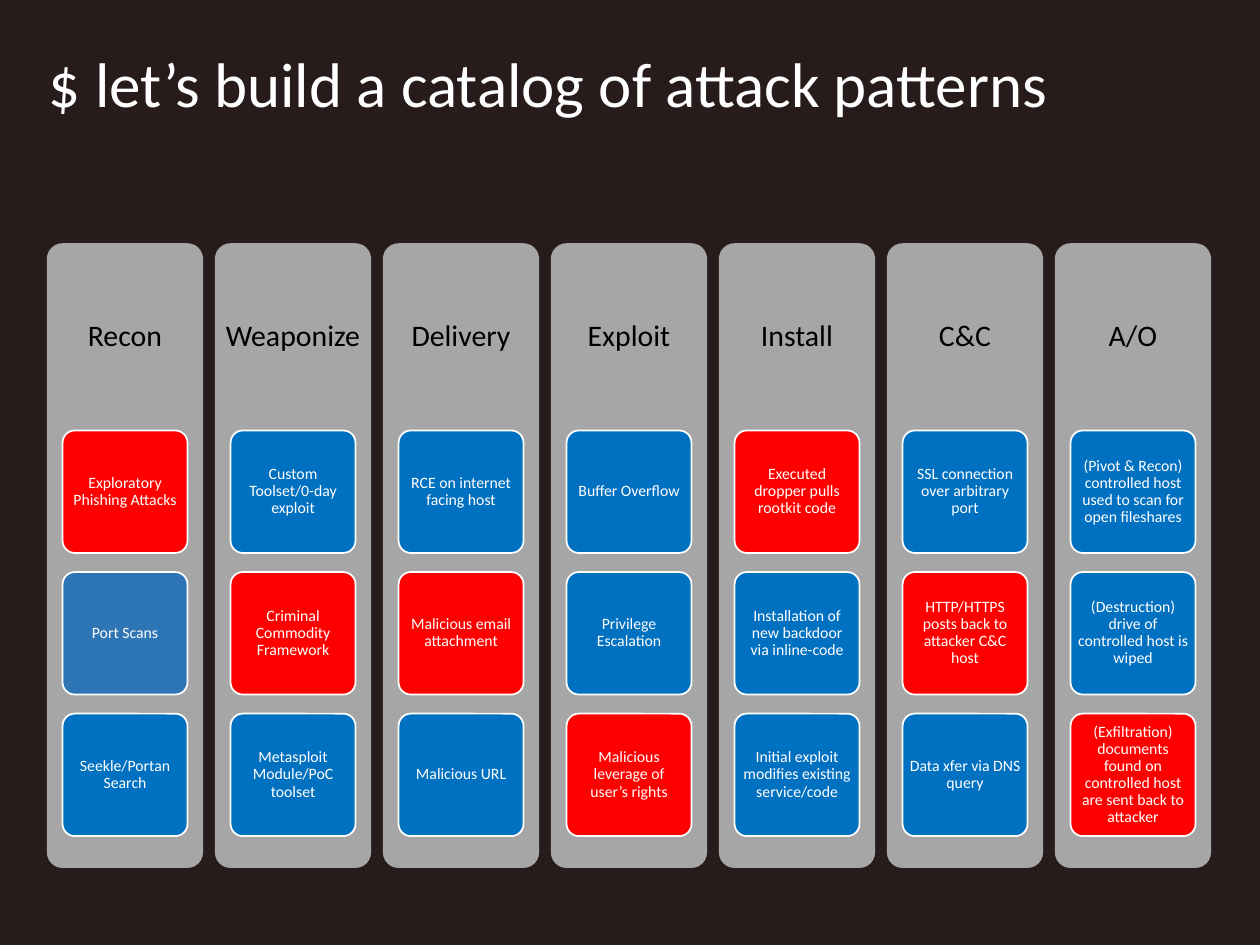
from pptx import Presentation
from pptx import util as u
from pptx.dml.color import RGBColor
from pptx.enum import shapes, text

Pt = u.Pt
WHITE, BLACK, GREY = "FFFFFF", "000000", "A6A6A6"
RED, BLUE, STEEL = "FF0000", "0070C0", "2E75B6"

# Phase name, then (label, fill) for each attack pattern
PHASES = [
    ("Recon", [("Exploratory Phishing Attacks", RED),
               ("Port Scans", STEEL),
               ("Seekle/Portan Search", BLUE)]),
    ("Weaponize", [("Custom Toolset/0-day exploit", BLUE),
                   ("Criminal Commodity Framework", RED),
                   ("Metasploit Module/PoC toolset", BLUE)]),
    ("Delivery", [("RCE on internet facing host", BLUE),
                  ("Malicious email attachment", RED),
                  ("Malicious URL", BLUE)]),
    ("Exploit", [("Buffer Overflow", BLUE),
                 ("Privilege Escalation", BLUE),
                 ("Malicious leverage of user’s rights", RED)]),
    ("Install", [("Executed dropper pulls rootkit code", RED),
                 ("Installation of new backdoor via inline-code", BLUE),
                 ("Initial exploit modifies existing service/code", BLUE)]),
    ("C&C", [("SSL connection over arbitrary port", BLUE),
             ("HTTP/HTTPS posts back to attacker C&C host", RED),
             ("Data xfer via DNS query", BLUE)]),
    ("A/O", [("(Pivot & Recon) controlled host used to scan for open fileshares", BLUE),
             ("(Destruction) drive of controlled host is wiped", BLUE),
             ("(Exfiltration) documents found on controlled host are sent back to attacker", RED)]),
]

# Grid, in points
COL_X, COL_Y, COL_W, COL_H, COL_STEP = 26.8, 139, 89.3, 357, 96
HEAD_H = 107
CARD_W, CARD_H, CARD_STEP = 71.4, 70, 80.9
CARD_DX = (COL_W - CARD_W) / 2
CARD_Y = COL_Y + HEAD_H


def rgb(value):
    return RGBColor.from_string(value)


class Deck:
    """Holds the style and the current slide."""

    font = "Calibri"

    def __init__(self, prs, background):
        self.s = prs.slides.add_slide(prs.slide_layouts[6])
        fill = self.s.background.fill
        fill.solid()
        fill.fore_color.rgb = rgb(background)

    def set_text(self, sp, label, size, color, align, inset):
        tf = sp.text_frame
        frame = dict(word_wrap=True, vertical_anchor=text.MSO_ANCHOR.MIDDLE,
                     margin_left=Pt(inset[0]), margin_right=Pt(inset[0]),
                     margin_top=Pt(inset[1]), margin_bottom=Pt(inset[1]))
        for name, value in frame.items():
            setattr(tf, name, value)
        p = tf.paragraphs[0]
        p.alignment, p.line_spacing = align, 0.9
        r = p.add_run()
        r.text = label
        for name, value in dict(name=self.font, size=Pt(size)).items():
            setattr(r.font, name, value)
        r.font.color.rgb = rgb(color)

    def label(self, box, label, size, color, align=text.PP_ALIGN.CENTER, inset=(5, 5)):
        sp = self.s.shapes.add_textbox(*map(Pt, box))
        self.set_text(sp, label, size, color, align, inset)

    def panel(self, box, fill, line=None):
        sp = self.s.shapes.add_shape(shapes.MSO_SHAPE.ROUNDED_RECTANGLE, *map(Pt, box))
        sp.adjustments[0] = 0.1
        sp.shadow.inherit = False
        sp.fill.solid()
        sp.fill.fore_color.rgb = rgb(fill)
        if line:
            sp.line.color.rgb = rgb(line)
            sp.line.width = Pt(1)
        else:
            sp.line.fill.background()
        return sp

    def card(self, box, label, fill):
        sp = self.panel(box, fill, WHITE)
        self.set_text(sp, label, 9, WHITE, text.PP_ALIGN.CENTER, (1.8, 1.35))


def main():
    prs = Presentation()
    prs.slide_width, prs.slide_height = Pt(720), Pt(540)
    deck = Deck(prs, "271B1B")

    # Title
    deck.label((20.9, 9.4, 679.7, 80.6), "$ let’s build a catalog of attack patterns",
               36, WHITE, text.PP_ALIGN.LEFT, (7.2, 3.6))

    # One column per phase, with its attack patterns below the heading
    for col, (phase, patterns) in enumerate(PHASES):
        x = COL_X + col * COL_STEP
        deck.panel((x, COL_Y, COL_W, COL_H), GREY)
        deck.label((x, COL_Y, COL_W, HEAD_H), phase, 17, BLACK)
        for row, (pattern, fill) in enumerate(patterns):
            y = CARD_Y + row * CARD_STEP
            deck.card((x + CARD_DX, y, CARD_W, CARD_H), pattern, fill)

    prs.save("out.pptx")


if __name__ == "__main__":
    main()
